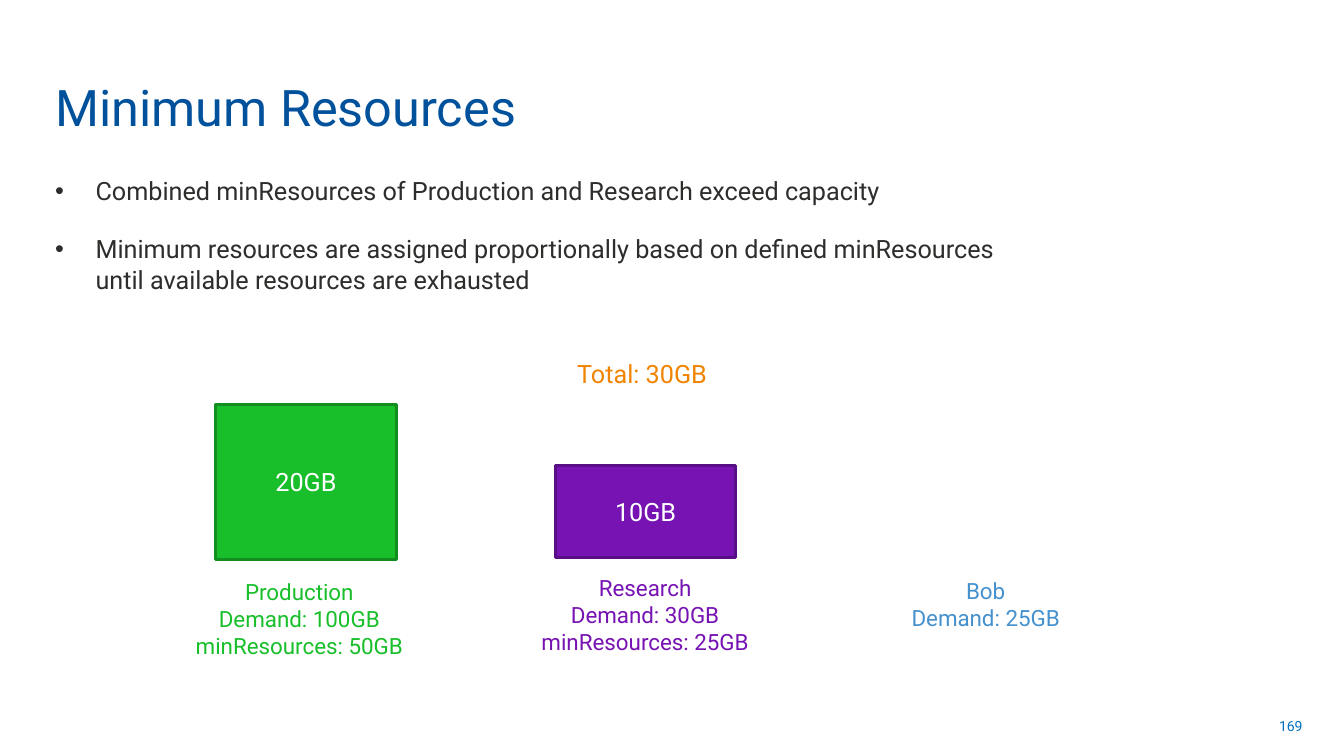
from dataclasses import dataclass

import lxml.etree
import pptx
import pptx.dml.color
import pptx.enum.shapes
import pptx.enum.text
import pptx.oxml.ns
import pptx.util

Pt = pptx.util.Pt
ALIGN = pptx.enum.text.PP_ALIGN
ANCHOR = pptx.enum.text.MSO_ANCHOR

FONT = "Roboto"
WHITE, INK, BLUE, NAVY = "FFFFFF", "2E2D2C", "0070C0", "00519C"
ORANGE, GREEN, PURPLE, SKY = "F08300", "18BF2B", "7713B2", "4591CE"
WIDE = (9.36, 4.32)
PLAIN = (7.2, 3.6)


@dataclass(frozen=True)
class Label:
    box: tuple[float, float, float, float]
    lines: tuple[str, ...]
    size: float
    color: str
    align: ALIGN = ALIGN.CENTER
    anchor: ANCHOR = ANCHOR.TOP
    inset: tuple[float, float] = WIDE
    gap: float = 0
    bullet: bool = False


@dataclass(frozen=True)
class Block:
    label: Label
    fill: str
    edge: str


LABELS = (
    Label((713.5, 504, 224, 28.8), ("169",), 10, BLUE,
          ALIGN.RIGHT, ANCHOR.MIDDLE, PLAIN),
    Label((32.4, 10.1, 718.6, 90.7), ("Minimum Resources",), 36, NAVY,
          ALIGN.LEFT, ANCHOR.BOTTOM, PLAIN),
    Label((32.4, 121.7, 722.9, 102.2), (
        "Combined minResources of Production and Research exceed capacity",
        "Minimum resources are assigned proportionally based on defined "
        "minResources until available resources are exhausted",
    ), 18, INK, ALIGN.LEFT, inset=PLAIN, gap=20, bullet=True),
    Label((380.9, 251.3, 155.5, 31), ("Total: 30GB",), 18, ORANGE),
    Label((87.1, 409, 253.4, 67.7),
          ("Production", "Demand: 100GB", "minResources: 50GB"), 16, GREEN),
    Label((334.1, 406.1, 253.4, 67.7),
          ("Research", "Demand: 30GB", "minResources: 25GB"), 16, PURPLE),
    Label((577.4, 408.2, 253.4, 48.2), ("Bob", "Demand: 25GB"), 16, SKY),
)

BLOCKS = (
    Block(Label((154.1, 288.7, 128.9, 110.9), ("20GB",), 18, WHITE,
                anchor=ANCHOR.MIDDLE), GREEN, "128D20"),
    Block(Label((396.7, 332.6, 128.9, 65.5), ("10GB",), 18, WHITE,
                anchor=ANCHOR.MIDDLE), PURPLE, "580E84"),
)


def rgb(code: str) -> pptx.dml.color.RGBColor:
    return pptx.dml.color.RGBColor.from_string(code)


def assign(target: object, values: dict[str, object]) -> None:
    for name, value in values.items():
        setattr(target, name, value)


def mark(para, color: str) -> None:
    """Give a paragraph a round bullet with a hanging indent."""
    props = para._p.get_or_add_pPr()
    props.set("marL", str(Pt(28.8)))
    props.set("indent", str(-Pt(28.8)))
    qn = pptx.oxml.ns.qn
    tint = lxml.etree.SubElement(props, qn("a:buClr"))
    lxml.etree.SubElement(tint, qn("a:srgbClr"), val=color)
    lxml.etree.SubElement(props, qn("a:buFont"), typeface="Arial")
    lxml.etree.SubElement(props, qn("a:buChar"), char="•")


def write(frame, label: Label) -> None:
    side, edge = map(Pt, label.inset)
    assign(frame, {
        "word_wrap": True, "vertical_anchor": label.anchor,
        "margin_left": side, "margin_right": side,
        "margin_top": edge, "margin_bottom": edge,
    })
    for index, line in enumerate(label.lines):
        para = frame.add_paragraph() if index else frame.paragraphs[0]
        if label.bullet:
            mark(para, label.color)
        assign(para, {"alignment": label.align,
                      "space_before": Pt(label.gap if index else 0)})
        run = para.add_run()
        run.text = line
        assign(run.font, {"name": FONT, "size": Pt(label.size)})
        run.font.color.rgb = rgb(label.color)


def place(slide, label: Label) -> None:
    write(slide.shapes.add_textbox(*map(Pt, label.box)).text_frame, label)


def build(slide, block: Block) -> None:
    kind = pptx.enum.shapes.MSO_SHAPE.RECTANGLE
    shape = slide.shapes.add_shape(kind, *map(Pt, block.label.box))
    shape.shadow.inherit = False
    shape.fill.solid()
    shape.fill.fore_color.rgb = rgb(block.fill)
    shape.line.color.rgb = rgb(block.edge)
    shape.line.width = Pt(2)
    write(shape.text_frame, block.label)


def main() -> None:
    deck = pptx.Presentation()
    assign(deck, {"slide_width": Pt(960), "slide_height": Pt(540)})
    slide = deck.slides.add_slide(deck.slide_layouts[6])
    for label in LABELS:
        place(slide, label)
    for block in BLOCKS:
        build(slide, block)
    deck.save("out.pptx")


if __name__ == "__main__":
    main()
